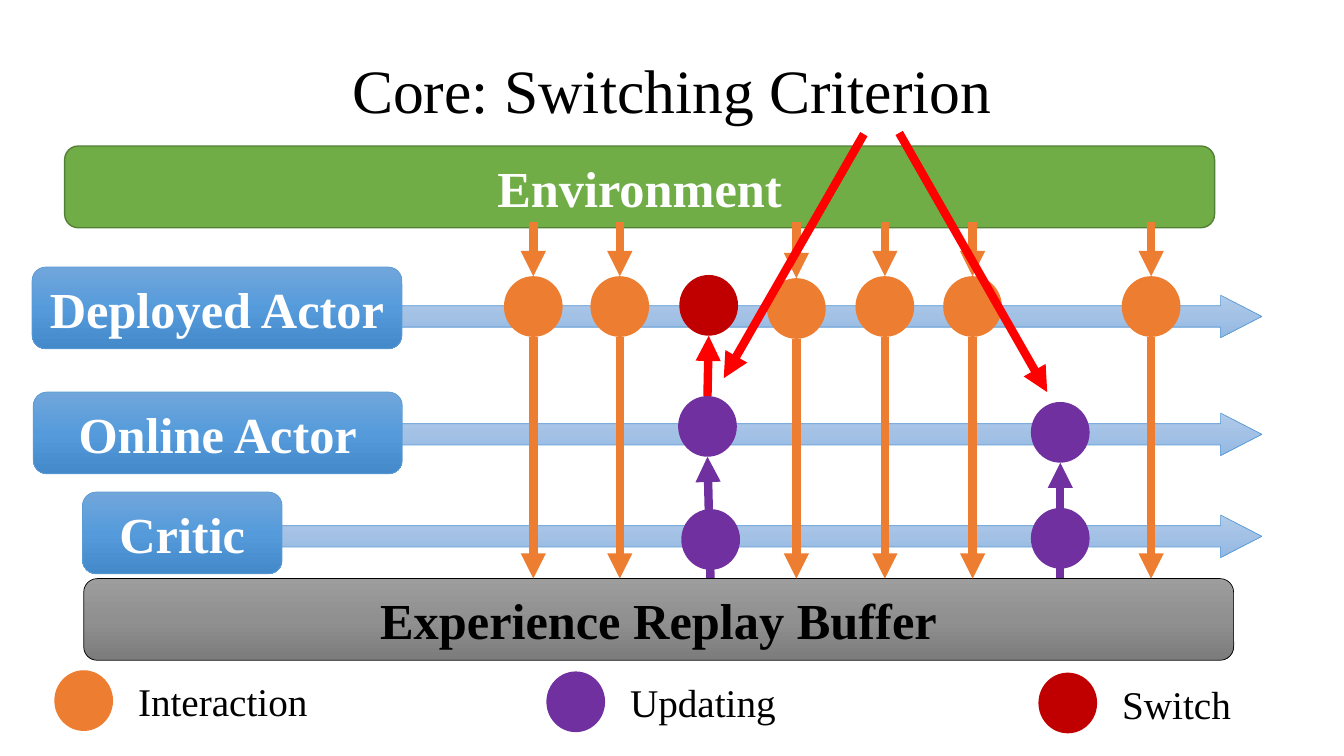
"""Build the switching criterion timeline slide."""
from copy import deepcopy
from typing import NamedTuple

from lxml.etree import SubElement
from pptx import Presentation
from pptx.dml.color import RGBColor
from pptx.enum.shapes import MSO_CONNECTOR, MSO_SHAPE
from pptx.enum.text import MSO_ANCHOR, PP_ALIGN
from pptx.oxml.ns import qn
from pptx.util import Cm, Pt

COLORS = {
    "black": "000000", "white": "FFFFFF", "green": "70AD47", "green_edge": "538035",
    "blue_edge": "5B9BD5", "interaction": "ED7D31", "updating": "7030A0",
    "switch": "C00000", "red": "FF0000",
}
GRADIENTS = {
    "lane": ("B1CBE9", "A3C1E5", "93B9E4"),
    "actor": ("71A6DB", "559BDB", "448ACA"),
    "buffer": ("9D9D9D", "909090", "7C7C7C"),
}
FONT = "Times New Roman"
BAR_H, DOT_W, DOT_H = 2.06, 1.48, 1.53
BUFFER_TOP, ENV_EXIT = 14.58, 5.59


class Bar(NamedTuple):
    text: str
    x: float
    y: float
    w: float
    fill: str
    edge: str
    edge_pt: float = 0.5
    color: str = "white"


class Dot(NamedTuple):
    cx: float
    y: float
    color: str


class Arrow(NamedTuple):
    x1: float
    y1: float
    x2: float
    y2: float
    color: str


LANE_TOPS = (12.98, 10.41, 7.44)
BARS = (
    Bar("Environment", 1.63, 3.68, 28.98, "green", "green_edge", 1),
    Bar("Experience Replay Buffer", 2.11, BUFFER_TOP, 28.98, "buffer", "black", color="black"),
    Bar("Online Actor", 0.84, 9.88, 9.3, "actor", "blue_edge"),
    Bar("Deployed Actor", 0.81, 6.73, 9.32, "actor", "blue_edge"),
    Bar("Critic", 2.08, 12.4, 5.03, "actor", "blue_edge"),
)
INTERACTIONS = tuple(
    Dot(cx, y, "interaction")
    for cx, y in ((13.44, 6.96), (15.62, 6.96), (20.07, 7.01),
                  (22.3, 6.96), (24.51, 6.96), (29.01, 6.96))
)
UPDATE_ARROWS = (
    Arrow(17.91, 14.81, 17.83, 11.51, "updating"),
    Arrow(26.72, BUFFER_TOP, 26.72, 11.66, "updating"),
)
UPDATE_DOTS = (
    Dot(17.86, 6.93, "switch"),
    Dot(17.83, 9.98, "updating"), Dot(26.72, 10.13, "updating"),
    Dot(17.91, 12.83, "updating"), Dot(26.72, 12.8, "updating"),
)
SWITCH_ARROWS = (
    Arrow(17.83, 9.98, 17.86, 8.46, "red"),
    Arrow(21.77, 3.38, 18.24, 9.53, "red"),
    Arrow(22.66, 3.35, 26.39, 9.88, "red"),
)
LEGEND = (("Interaction", "interaction", 4.83), ("Updating", "updating", 4.22),
          ("Switch", "switch", 3.28))


def rgb(name: str) -> RGBColor:
    """Return a palette colour."""
    return RGBColor.from_string(COLORS[name])


def write(tf, text: str, size: float, color: str, bold: bool = False, align=None):
    """Write one formatted paragraph and return it."""
    p = tf.paragraphs[0]
    p.alignment = align
    r = p.add_run()
    r.text = text
    for name, value in {"name": FONT, "size": Pt(size), "bold": bold}.items():
        setattr(r.font, name, value)
    r.font.color.rgb = rgb(color)
    return p


def paint(sp, fill: str) -> None:
    """Apply a solid or three-stop vertical gradient fill."""
    if fill in COLORS:
        sp.fill.solid()
        sp.fill.fore_color.rgb = rgb(fill)
        return
    sp.fill.gradient()
    sp.fill.gradient_angle = 270
    first = next(sp._element.spPr.iter(qn("a:gs")))
    first.addnext(deepcopy(first))
    for i, (stop, color) in enumerate(zip(sp.fill.gradient_stops, GRADIENTS[fill])):
        stop.position = i / 2
        stop.color.rgb = RGBColor.from_string(color)


def add_shape(s, kind, x: float, y: float, w: float, h: float, fill: str,
              edge: str = "", edge_pt: float = 0.5):
    """Add a shadowless preset shape."""
    sp = s.shapes.add_shape(kind, Cm(x), Cm(y), Cm(w), Cm(h))
    sp.shadow.inherit = False
    paint(sp, fill)
    if edge:
        sp.line.color.rgb = rgb(edge)
        sp.line.width = Pt(edge_pt)
    else:
        sp.line.fill.background()
    return sp


def add_lane(s, y: float) -> None:
    """Add a timeline arrow."""
    sp = add_shape(s, MSO_SHAPE.RIGHT_ARROW, 4.22, y, 27.58, 1.07, "lane", "blue_edge")
    sp.adjustments[0], sp.adjustments[1] = 0.5, 0.97


def add_bar(s, bar: Bar) -> None:
    """Add a labelled rounded bar."""
    sp = add_shape(s, MSO_SHAPE.ROUNDED_RECTANGLE, bar.x, bar.y, bar.w, BAR_H,
                   bar.fill, bar.edge, bar.edge_pt)
    sp.text_frame.vertical_anchor = MSO_ANCHOR.MIDDLE
    write(sp.text_frame, bar.text, 36, bar.color, True, PP_ALIGN.CENTER)


def add_dot(s, dot: Dot) -> None:
    """Add an event dot centred on its x position."""
    add_shape(s, MSO_SHAPE.OVAL, dot.cx - DOT_W / 2, dot.y, DOT_W, DOT_H, dot.color)


def add_arrow(s, arrow: Arrow) -> None:
    """Add a thick line ending in a triangle."""
    cx = s.shapes.add_connector(MSO_CONNECTOR.STRAIGHT, *map(Cm, arrow[:4]))
    cx.line.color.rgb = rgb(arrow.color)
    cx.line.width = Pt(6)
    SubElement(cx.line._get_or_add_ln(), qn("a:tailEnd"), type="triangle")
    SubElement(cx._element.spPr, qn("a:effectLst"))


def add_legend(s) -> None:
    """Add the evenly spaced legend entries."""
    for i, (text, color, width) in enumerate(LEGEND):
        cx, y = 2.11 + 12.4 * i, 16.89 + 0.03 * i
        add_dot(s, Dot(cx, y, color))
        tb = s.shapes.add_textbox(Cm(cx + 1.12), Cm(y + 0.06), Cm(width), Cm(1.45))
        tb.text_frame.word_wrap = False
        write(tb.text_frame, text, 28, "black")


def add_title(s) -> None:
    """Place and fill the title placeholder."""
    sp = s.shapes.title
    for name, value in {"left": 2.34, "top": 0.51, "width": 29.21, "height": 3.68}.items():
        setattr(sp, name, Cm(value))
    sp.text_frame.vertical_anchor = MSO_ANCHOR.MIDDLE
    p = write(sp.text_frame, "Core: Switching Criterion", 44, "black", align=PP_ALIGN.CENTER)
    p.line_spacing = 0.9


def main() -> None:
    """Build and save the slide."""
    prs = Presentation()
    prs.slide_width, prs.slide_height = Cm(33.87), Cm(19.05)
    s = prs.slides.add_slide(prs.slide_layouts[5])
    add_title(s)
    for y in LANE_TOPS:
        add_lane(s, y)
    for arrow in UPDATE_ARROWS:
        add_arrow(s, arrow)
    for bar in BARS:
        add_bar(s, bar)
    for dot in INTERACTIONS:
        add_dot(s, dot)
        add_arrow(s, Arrow(dot.cx, ENV_EXIT, dot.cx, dot.y, dot.color))
        add_arrow(s, Arrow(dot.cx, dot.y + DOT_H, dot.cx, BUFFER_TOP, dot.color))
    for dot in UPDATE_DOTS:
        add_dot(s, dot)
    for arrow in SWITCH_ARROWS:
        add_arrow(s, arrow)
    add_legend(s)
    prs.save("out.pptx")


if __name__ == "__main__":
    main()
